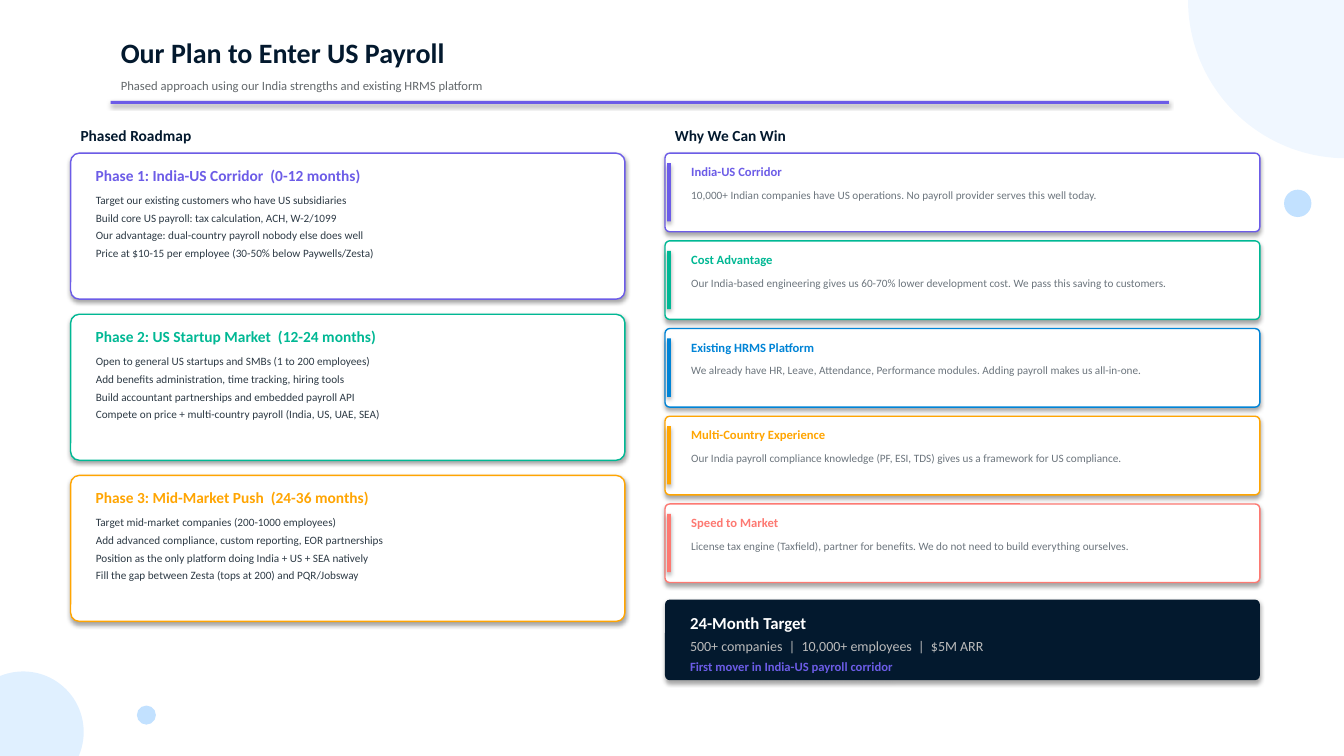
"""Build the slide on the phased plan to enter US payroll."""
from math import cos, pi, sin

from lxml import etree
from pptx import Presentation
from pptx.dml.color import RGBColor
from pptx.enum.shapes import MSO_SHAPE
from pptx.enum.text import MSO_ANCHOR, MSO_AUTO_SIZE, PP_ALIGN
from pptx.oxml.ns import qn
from pptx.util import Cm, Pt

ELLIPSE, RECTANGLE, ROUNDED = MSO_SHAPE.OVAL, MSO_SHAPE.RECTANGLE, MSO_SHAPE.ROUNDED_RECTANGLE
TOP, LEFT, NO_AUTOFIT = MSO_ANCHOR.TOP, PP_ALIGN.LEFT, MSO_AUTO_SIZE.NONE
COMPARISON_LAYOUT = 4
FONT = "Calibri"
NAVY, WHITE, SKY = "03192E", "FFFFFF", "0085FF"
PURPLE, GREEN, BLUE, ORANGE, CORAL = "6C5CE7", "00B894", "0084D6", "FFA502", "FD7972"
HEADER_LEFT, HEADER_WIDTH = 2.79, 26.67
ROADMAP_LEFT, ROADMAP_WIDTH = 1.78, 13.97
REASON_LEFT, REASON_WIDTH = 16.76, 14.99
CARDS_TOP = 3.86

PHASES = [
    ("Phase 1: India-US Corridor  (0-12 months)", PURPLE, [
        "Target our existing customers who have US subsidiaries",
        "Build core US payroll: tax calculation, ACH, W-2/1099",
        "Our advantage: dual-country payroll nobody else does well",
        "Price at $10-15 per employee (30-50% below Paywells/Zesta)"]),
    ("Phase 2: US Startup Market  (12-24 months)", GREEN, [
        "Open to general US startups and SMBs (1 to 200 employees)",
        "Add benefits administration, time tracking, hiring tools",
        "Build accountant partnerships and embedded payroll API",
        "Compete on price + multi-country payroll (India, US, UAE, SEA)"]),
    ("Phase 3: Mid-Market Push  (24-36 months)", ORANGE, [
        "Target mid-market companies (200-1000 employees)",
        "Add advanced compliance, custom reporting, EOR partnerships",
        "Position as the only platform doing India + US + SEA natively",
        "Fill the gap between Zesta (tops at 200) and PQR/Jobsway"]),
]
REASONS = [
    ("India-US Corridor", PURPLE,
     "10,000+ Indian companies have US operations. No payroll provider serves this well today."),
    ("Cost Advantage", GREEN,
     "Our India-based engineering gives us 60-70% lower development cost. "
     "We pass this saving to customers."),
    ("Existing HRMS Platform", BLUE,
     "We already have HR, Leave, Attendance, Performance modules. "
     "Adding payroll makes us all-in-one."),
    ("Multi-Country Experience", ORANGE,
     "Our India payroll compliance knowledge (PF, ESI, TDS) gives us a framework "
     "for US compliance."),
    ("Speed to Market", CORAL,
     "License tax engine (Taxfield), partner for benefits. "
     "We do not need to build everything ourselves."),
]


def paint(fill, color):
    """Make a fill solid in a hex colour."""
    fill.solid()
    fill.fore_color.rgb = RGBColor.from_string(color)


def write(box, place, lines, size, color, bold=False, gap=0):
    """Place a text box or placeholder and fill it with one paragraph per line."""
    box.left, box.top, box.width, box.height = (Cm(length) for length in place)
    page.shapes.element.append(box.element)
    frame = box.text_frame
    frame.word_wrap = True
    frame.auto_size = NO_AUTOFIT
    frame.vertical_anchor = TOP
    for number, line in enumerate(lines):
        para = frame.add_paragraph() if number else frame.paragraphs[0]
        if box.is_placeholder:
            properties = para._p.get_or_add_pPr()
            properties.set("marL", "0")
            properties.set("indent", "0")
            etree.SubElement(properties, qn("a:buNone"))
        para.alignment = LEFT
        para.space_before = Pt(0)
        para.space_after = Pt(gap)
        span = para.add_run()
        span.text = line
        span.font.name = FONT
        span.font.size = Pt(size)
        span.font.bold = bold
        paint(span.font.fill, color)


deck = Presentation()
deck.slide_width, deck.slide_height = Cm(33.87), Cm(19.05)
page = deck.slides.add_slide(deck.slide_layouts[COMPARISON_LAYOUT])
title, subtitle, *phase_lists = page.placeholders

corner_x, radius = 33.93, 3.99
arc = [(Cm(corner_x - radius * cos(step * pi / 80)), Cm(radius * sin(step * pi / 80)))
       for step in range(41)]
builder = page.shapes.build_freeform(*arc[0])
builder.add_line_segments(arc[1:] + [(Cm(corner_x), 0)])
decorations = [(builder.convert_to_shape(), 6)]
for left, top, size, opacity in [(-0.94, 16.92, 3.05, 12), (32.36, 4.78, 0.69, 24),
                                 (3.45, 17.78, 0.48, 24)]:
    circle = page.shapes.add_shape(ELLIPSE, Cm(left), Cm(top), Cm(size), Cm(size))
    decorations.append((circle, opacity))
for decoration, opacity in decorations:
    paint(decoration.fill, SKY)
    decoration.line.fill.background()
    decoration.shadow.inherit = False
    tint = decoration.element.spPr.find(qn("a:solidFill"))[0]
    etree.SubElement(tint, qn("a:alpha")).set("val", str(opacity * 1000))

panels = [(RECTANGLE, (HEADER_LEFT, 2.54, HEADER_WIDTH, 0.08), PURPLE, None)]
texts = [
    (title, (HEADER_LEFT, 0.76, HEADER_WIDTH, 0.97), ["Our Plan to Enter US Payroll"],
     20, NAVY, True),
    (subtitle, (HEADER_LEFT, 1.83, HEADER_WIDTH, 0.56),
     ["Phased approach using our India strengths and existing HRMS platform"], 9, "64696C"),
    (None, (ROADMAP_LEFT, 3.05, ROADMAP_WIDTH, 0.56), ["Phased Roadmap"], 11, NAVY, True),
    (None, (REASON_LEFT, 3.05, REASON_WIDTH, 0.56), ["Why We Can Win"], 11, NAVY, True),
]

for row, ((heading, color, steps), phase_list) in enumerate(zip(PHASES, phase_lists)):
    top = CARDS_TOP + row * 4.06
    left, width = ROADMAP_LEFT + 0.38, ROADMAP_WIDTH - 0.76
    panels.append((ROUNDED, (ROADMAP_LEFT, top, ROADMAP_WIDTH, 3.68), WHITE, color))
    texts.append((None, (left, top + 0.2, width, 0.56), [heading], 11, color, True))
    texts.append((phase_list, (left, top + 0.89, width, 2.54), steps, 8, "2D3A45", False, 3))

for row, (heading, color, detail) in enumerate(REASONS):
    top = CARDS_TOP + row * 2.21
    left, width = REASON_LEFT + 0.41, 14.27
    panels.append((ROUNDED, (REASON_LEFT, top, REASON_WIDTH, 1.98), WHITE, color))
    panels.append((RECTANGLE, (REASON_LEFT + 0.05, top + 0.25, 0.1, 1.47), color, None))
    texts.append((None, (left, top + 0.15, width, 0.51), [heading], 9, color, True))
    texts.append((None, (left, top + 0.76, width, 1.07), [detail], 8, "6C757D"))

panels.append((ROUNDED, (REASON_LEFT, 15.11, REASON_WIDTH, 2.03), NAVY, None))
for top, line, size, color, bold in [
        (15.32, "24-Month Target", 12, WHITE, True),
        (15.93, "500+ companies  |  10,000+ employees  |  $5M ARR", 10, "BBBBBB", False),
        (16.48, "First mover in India-US payroll corridor", 9, PURPLE, True)]:
    texts.append((None, (REASON_LEFT + 0.38, top, 14.22, 0.48), [line], size, color, bold))

for kind, place, color, outline in panels:
    panel = page.shapes.add_shape(kind, *(Cm(length) for length in place))
    paint(panel.fill, color)
    if kind == ROUNDED:
        panel.adjustments[0] = 0.06
    if outline:
        paint(panel.line.fill, outline)
        panel.line.width = Pt(1)
    else:
        panel.line.fill.background()

for box, place, *content in texts:
    box = box or page.shapes.add_textbox(0, 0, 0, 0)
    write(box, place, *content)

deck.save("out.pptx")
